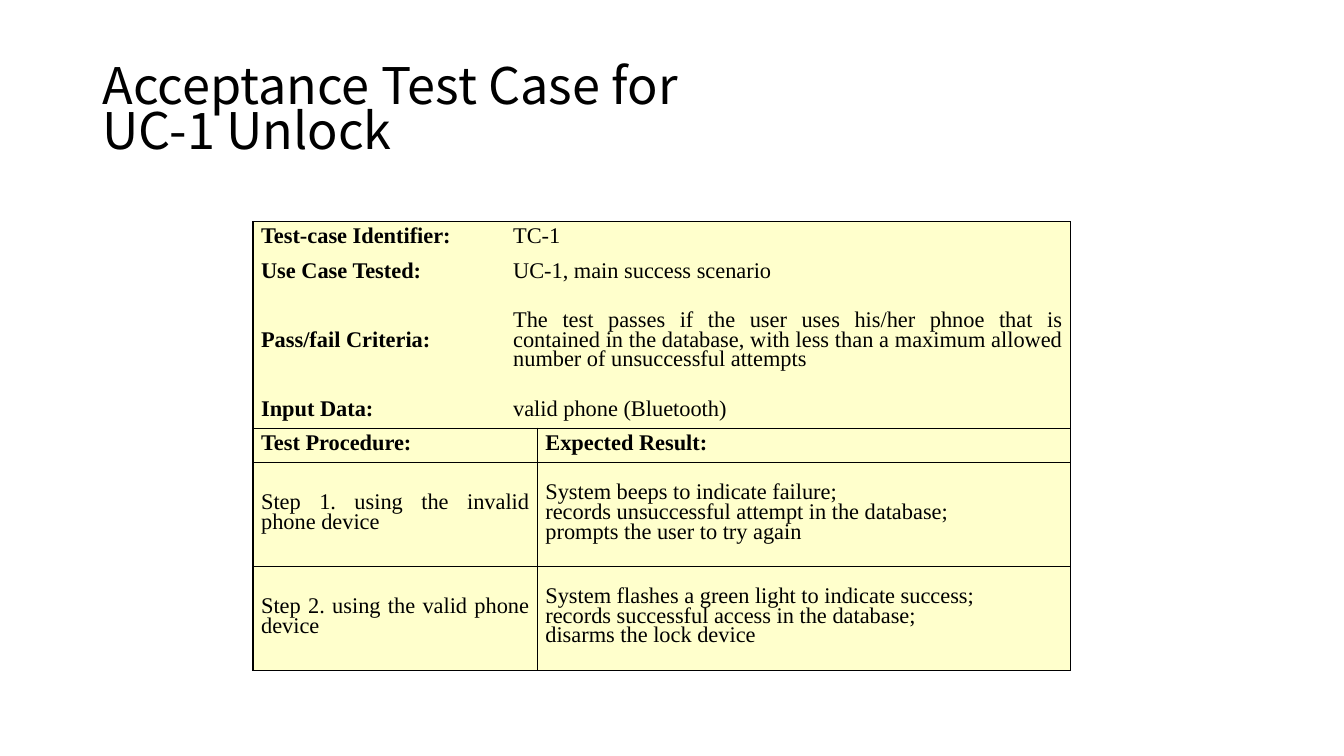
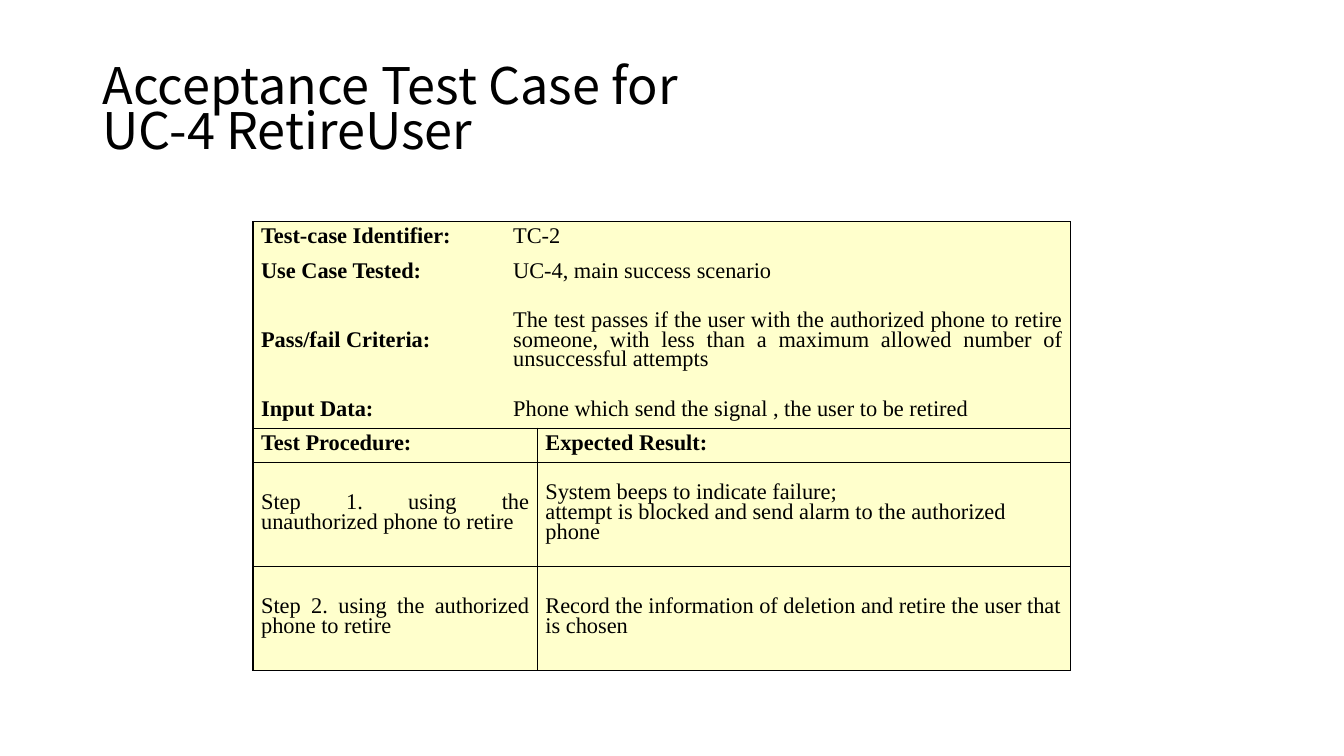
import dataclasses

import lxml.etree
import pptx
import pptx.dml.color
import pptx.enum.text
import pptx.oxml.ns
import pptx.util

EMU_PER_PX = 9144
NO_TABLE_STYLE = "{2D5ABB26-0587-4C30-8999-92F81FD0307C}"
ALIGN = pptx.enum.text.PP_ALIGN


@dataclasses.dataclass(frozen=True)
class Theme:
    ink: str = "000000"
    cell_fill: str = "FFFFCC"
    title_font: str = "Noto Sans CJK SC"
    title_size: int = 36
    title_spacing: float = 0.74
    table_font: str = "Times New Roman"
    table_size: int = 16
    table_leading: int = 14
    space_before: int = 6
    border_width: int = 1


@dataclasses.dataclass(frozen=True)
class TestCase:
    title: str
    fields: tuple
    steps: tuple


def px(length):
    return pptx.util.Emu(length * EMU_PER_PX)


def color(value):
    return pptx.dml.color.RGBColor.from_string(value)


class Deck:
    COLUMNS = (250, 32, 529)
    ROWS = (34, 34, 103, 34, 34, 103, 103)

    def __init__(self, theme):
        self.theme = theme
        self.slide = None
        self.presentation = pptx.Presentation()
        self.presentation.slide_width = px(1333)
        self.presentation.slide_height = px(750)

    def add_slide(self):
        self.slide = self.presentation.slides.add_slide(self.presentation.slide_layouts[6])

    def add_text(self, paragraph, text, font_name, size, bold=False):
        """Fill a paragraph, one run for each line of the text."""
        for number, line in enumerate(text.split("\n")):
            if number:
                paragraph.add_line_break()
            run = paragraph.add_run()
            run.text = line
            run.font.name = font_name
            run.font.size = pptx.util.Pt(size)
            run.font.bold = bold
            run.font.color.rgb = color(self.theme.ink)

    def add_title(self, text):
        box = self.slide.shapes.add_textbox(px(92), px(40), px(1150), px(145))
        frame = box.text_frame
        frame.word_wrap = True
        frame.vertical_anchor = pptx.enum.text.MSO_ANCHOR.MIDDLE
        paragraph = frame.paragraphs[0]
        paragraph.line_spacing = self.theme.title_spacing
        self.add_text(paragraph, text, self.theme.title_font, self.theme.title_size)

    def add_borders(self, cell, sides):
        """Draw the sides named by the letters L, R, T and B, in that order."""
        properties = cell._tc.get_or_add_tcPr()
        for position, side in enumerate(sides):
            line = lxml.etree.Element(
                pptx.oxml.ns.qn(f"a:ln{side}"), w=str(pptx.util.Pt(self.theme.border_width)))
            fill = lxml.etree.SubElement(line, pptx.oxml.ns.qn("a:solidFill"))
            lxml.etree.SubElement(fill, pptx.oxml.ns.qn("a:srgbClr"), val=self.theme.ink)
            properties.insert(position, line)

    def fill_cell(self, cell, text, bold, align, sides):
        cell.margin_left = cell.margin_right = px(8)
        cell.margin_top = cell.margin_bottom = 0
        cell.vertical_anchor = pptx.enum.text.MSO_ANCHOR.MIDDLE
        cell.fill.solid()
        cell.fill.fore_color.rgb = color(self.theme.cell_fill)
        paragraph = cell.text_frame.paragraphs[0]
        paragraph.alignment = align
        paragraph.line_spacing = pptx.util.Pt(self.theme.table_leading)
        paragraph.space_before = pptx.util.Pt(self.theme.space_before)
        self.add_text(paragraph, text, self.theme.table_font, self.theme.table_size, bold)
        self.add_borders(cell, sides)

    def add_test_table(self, fields, steps):
        """Add field rows, a heading row and step rows in one framed table."""
        frame = self.slide.shapes.add_table(
            len(self.ROWS), len(self.COLUMNS), px(251), px(220),
            px(sum(self.COLUMNS)), px(sum(self.ROWS)))
        table = frame.table
        table.first_row = table.horz_banding = False
        table._tbl.tblPr.find(pptx.oxml.ns.qn("a:tableStyleId")).text = NO_TABLE_STYLE
        for column, width in zip(table.columns, self.COLUMNS):
            column.width = px(width)
        for row, height in zip(table.rows, self.ROWS):
            row.height = px(height)

        labels = ("Test-case Identifier:", "Use Case Tested:", "Pass/fail Criteria:", "Input Data:")
        for row, (label, value) in enumerate(zip(labels, fields)):
            edges = ("T" if row == 0 else "") + ("B" if row == len(labels) - 1 else "")
            table.cell(row, 1).merge(table.cell(row, 2))
            self.fill_cell(table.cell(row, 0), label, True, ALIGN.JUSTIFY, "L" + edges)
            self.fill_cell(table.cell(row, 1), value, False, ALIGN.JUSTIFY, "R" + edges)

        heading = len(labels)
        last = len(self.ROWS) - 1
        procedure = (("Test Procedure:", "Expected Result:"), *steps)
        for row, (action, result) in enumerate(procedure, heading):
            is_heading = row == heading
            edges = "LR" + ("T" if row <= heading + 1 else "") + ("B" if row in (heading, last) else "")
            table.cell(row, 0).merge(table.cell(row, 1))
            self.fill_cell(table.cell(row, 0), action, is_heading, ALIGN.JUSTIFY, edges)
            self.fill_cell(table.cell(row, 2), result, is_heading,
                           ALIGN.JUSTIFY if is_heading else ALIGN.LEFT, edges)


TEST_CASES = (
    TestCase(
        "Acceptance Test Case for\nUC-1 Unlock",
        (
            "TC-1",
            "UC-1, main success scenario",
            "The test passes if the user uses his/her phnoe that is contained in the database, "
            "with less than a maximum allowed number of unsuccessful attempts",
            "valid phone (Bluetooth)",
        ),
        (
            ("Step 1. using the invalid phone device",
             "System beeps to indicate failure;\nrecords unsuccessful attempt in the database;\n"
             "prompts the user to try again"),
            ("Step 2. using the valid phone device",
             "System flashes a green light to indicate success;\n"
             "records successful access in the database;\ndisarms the lock device"),
        ),
    ),
    TestCase(
        "Acceptance Test Case for\nUC-4 RetireUser",
        (
            "TC-2",
            "UC-4, main success scenario",
            "The test passes if the user with the authorized phone to retire someone, "
            "with less than a maximum allowed number of unsuccessful attempts",
            "Phone which send the signal , the user to be retired",
        ),
        (
            ("Step 1. using the unauthorized phone to retire",
             "System beeps to indicate failure;\n"
             "attempt is blocked and send alarm to the authorized phone"),
            ("Step 2. using the authorized phone to retire",
             "Record the information of deletion and retire the user that is chosen"),
        ),
    ),
)


def main():
    deck = Deck(Theme())
    for test_case in TEST_CASES:
        deck.add_slide()
        deck.add_title(test_case.title)
        deck.add_test_table(test_case.fields, test_case.steps)
    deck.presentation.save("out.pptx")


if __name__ == "__main__":
    main()
